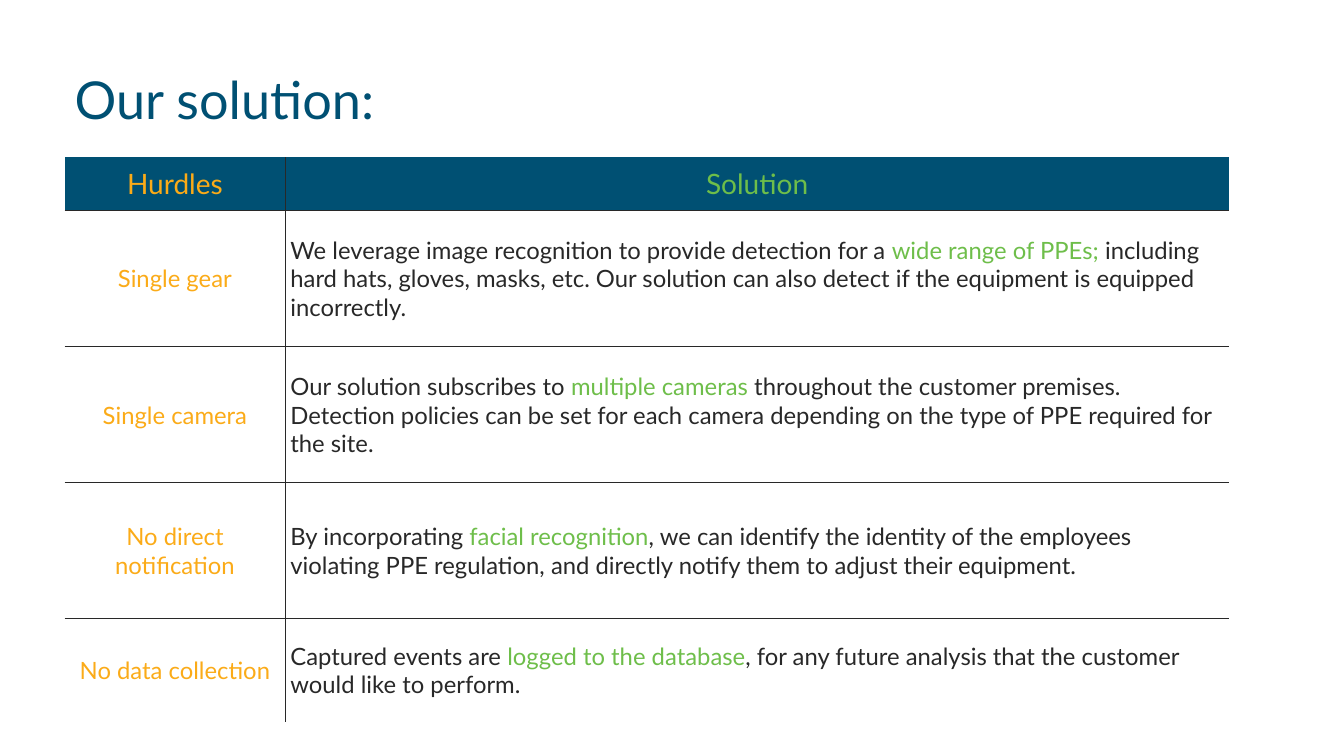
import pptx
import pptx.dml.color
import pptx.enum.text
import pptx.oxml
import pptx.oxml.ns
import pptx.util
from pptx.util import Inches

NAVY, ORANGE, GREEN, DARK, WHITE = "005073", "FBAB18", "6EBE4A", "282828", "FFFFFF"
MIDDLE = pptx.enum.text.MSO_ANCHOR.MIDDLE
ALIGN = pptx.enum.text.PP_ALIGN

# Each row: hurdle, then the solution split as before, highlight, after
HURDLES = [
    ("Single gear",
     "We leverage image recognition to provide detection for a ",
     "wide range of PPEs;",
     " including hard hats, gloves, masks, etc. Our solution can also detect "
     "if the equipment is equipped incorrectly."),
    ("Single camera",
     "Our solution subscribes to ",
     "multiple cameras ",
     "throughout the customer premises. Detection policies can be set for each "
     "camera depending on the type of PPE required for the site."),
    ("No direct notification",
     "By incorporating ",
     "facial recognition",
     ", we can identify the identity of the employees violating PPE regulation, "
     "and directly notify them to adjust their equipment."),
    ("No data collection",
     "Captured events are ",
     "logged to the database",
     ", for any future analysis that the customer would like to perform."),
]


def add_run(para, text, size, color):
    run = para.add_run()
    run.text = text
    run.font.name = "Lato"
    run.font.size = pptx.util.Pt(size)
    run.font.color.rgb = pptx.dml.color.RGBColor.from_string(color)


def add_border(cell, side, visible):
    """Draw a dark 1 pt line on one side (L, R, T or B), or clear it."""
    paint = f'<a:solidFill><a:srgbClr val="{DARK}"/></a:solidFill>' if visible else "<a:noFill/>"
    namespace = pptx.oxml.ns.nsdecls("a")
    line = pptx.oxml.parse_xml(f'<a:ln{side} {namespace} w="12700">{paint}</a:ln{side}>')
    cell._tc.get_or_add_tcPr().append(line)


deck = pptx.Presentation()
deck.slide_width = Inches(13.33)
deck.slide_height = Inches(7.5)
slide = deck.slides.add_slide(deck.slide_layouts[5])

title = slide.shapes.title
title.left, title.top = Inches(0.64), Inches(0.5)
title.width, title.height = Inches(12.17), Inches(1.07)
title.text_frame.vertical_anchor = MIDDLE
title.text_frame.word_wrap = True
title_para = title.text_frame.paragraphs[0]
title_para.alignment = ALIGN.LEFT
title_para.line_spacing = 0.8
add_run(title_para, "Our solution:", 37.3, NAVY)

header = [[("Hurdles", 20, ORANGE)], [("Solution", 20, GREEN)]]
body = [
    [[(hurdle, 17, ORANGE)], [(before, 17, DARK), (highlight, 17, GREEN), (after, 17, DARK)]]
    for hurdle, before, highlight, after in HURDLES
]
rows = [header] + body
row_heights = [0.53, 1.35, 1.35, 1.35, 1.02]
column_widths = [2.19, 9.36]

table = slide.shapes.add_table(
    len(rows), len(column_widths), Inches(0.64), Inches(1.56),
    Inches(sum(column_widths)), Inches(sum(row_heights))).table
table.first_row = False
table.horz_banding = False
for column, width in zip(table.columns, column_widths):
    column.width = Inches(width)

for row_index, (row, height) in enumerate(zip(rows, row_heights)):
    table.rows[row_index].height = Inches(height)
    for column_index, pieces in enumerate(row):
        cell = table.cell(row_index, column_index)
        cell.vertical_anchor = MIDDLE
        cell.margin_left = cell.margin_right = Inches(0.05)
        cell.margin_top = cell.margin_bottom = Inches(0.01)

        # Only the inner grid lines show
        add_border(cell, "L", column_index > 0)
        add_border(cell, "R", column_index < len(column_widths) - 1)
        add_border(cell, "T", row_index > 0)
        add_border(cell, "B", row_index < len(rows) - 1)
        cell.fill.solid()
        cell.fill.fore_color.rgb = pptx.dml.color.RGBColor.from_string(
            NAVY if row_index == 0 else WHITE)

        para = cell.text_frame.paragraphs[0]
        centred = row_index == 0 or column_index == 0
        para.alignment = ALIGN.CENTER if centred else ALIGN.LEFT
        for text, size, color in pieces:
            add_run(para, text, size, color)

deck.save("out.pptx")
